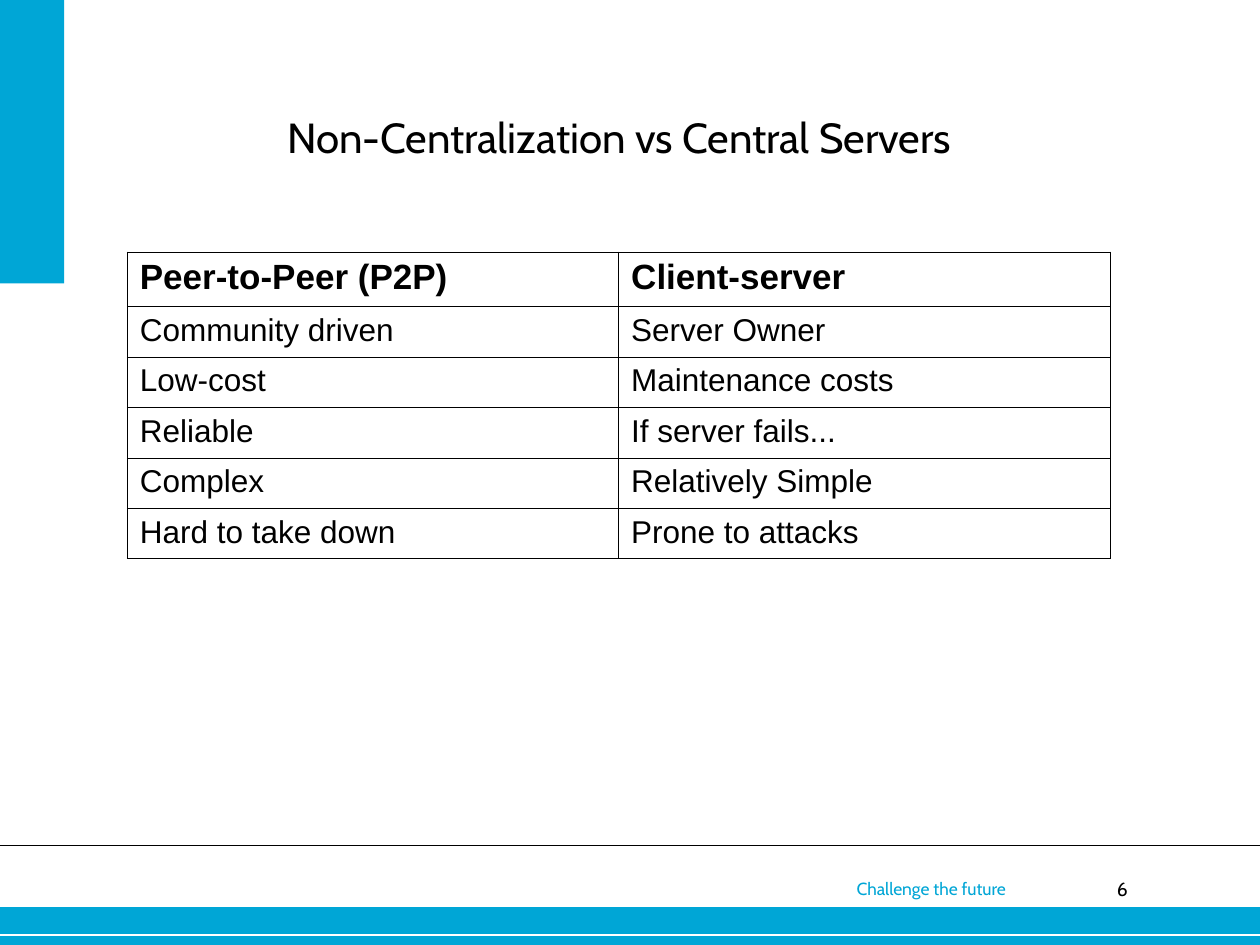
"""Build the slide comparing peer-to-peer with client-server systems."""
from lxml.etree import SubElement
from pptx import Presentation
from pptx.dml.color import RGBColor
from pptx.enum.shapes import MSO_CONNECTOR, MSO_SHAPE
from pptx.enum.text import MSO_ANCHOR, PP_ALIGN
from pptx.oxml import parse_xml
from pptx.oxml.ns import nsdecls, qn
from pptx.util import Inches, Pt

CYAN = RGBColor(0x00, 0xA6, 0xD6)
BLACK = RGBColor(0x00, 0x00, 0x00)
WHITE = RGBColor(0xFF, 0xFF, 0xFF)

TITLE = "Non-Centralization vs Central Servers"
COMPARISON = [
    ("Peer-to-Peer (P2P)", "Client-server"),
    ("Community driven", "Server Owner"),
    ("Low-cost", "Maintenance costs"),
    ("Reliable", "If server fails..."),
    ("Complex", "Relatively Simple"),
    ("Hard to take down", "Prone to attacks"),
]
BANDS = [(0, 7.2, 10, 0.3), (0, 0, 0.51, 2.25)]
RULES = [(7.42, WHITE, 0.75), (6.71, BLACK, 1)]
FOOTERS = [
    ("6", (8.46, 6.96, 0.49, 0.28), (0, 0), 11, BLACK, PP_ALIGN.RIGHT),
    ("Challenge the future", (6.7, 6.92, 2.18, 0.27), (0.1, 0.05), 10, CYAN, PP_ALIGN.LEFT),
]
COLUMN_WIDTH, ROW_HEIGHT = 3.9, 0.37
BORDER_WIDTH = Pt(0.57)


def set_margins(owner, across, down):
    margins = {"left": across, "right": across, "top": down, "bottom": down}
    for side, length in margins.items():
        setattr(owner, f"margin_{side}", Inches(length))


def write(frame, wording, size, font="Cabin", color=BLACK, align=PP_ALIGN.LEFT, bold=False):
    paragraph = frame.paragraphs[0]
    paragraph.alignment = align
    run = paragraph.add_run()
    run.text = wording
    run.font.color.rgb = color
    for name, value in {"name": font, "size": Pt(size), "bold": bold}.items():
        setattr(run.font, name, value)


def add_band(slide, box):
    band = slide.shapes.add_shape(MSO_SHAPE.RECTANGLE, *map(Inches, box))
    band.shadow.inherit = False
    band.fill.solid()
    band.fill.fore_color.rgb = CYAN
    band.line.fill.background()


def add_rule(slide, height, color, width):
    ends = map(Inches, (0, height, 10, height))
    rule = slide.shapes.add_connector(MSO_CONNECTOR.STRAIGHT, *ends)
    rule.line.color.rgb = color
    rule.line.width = Pt(width)
    SubElement(rule._element.spPr, qn("a:effectLst"))


def add_footer(slide, wording, box, margins, size, color, align):
    frame = slide.shapes.add_textbox(*map(Inches, box)).text_frame
    frame.word_wrap = True
    set_margins(frame, *margins)
    write(frame, wording, size, color=color, align=align)


def add_title(slide):
    title = slide.shapes.title
    box = {"left": 1, "top": 0.5, "width": 7.83, "height": 1.17}
    for name, length in box.items():
        setattr(title, name, Inches(length))
    frame = title.text_frame
    frame.vertical_anchor = MSO_ANCHOR.MIDDLE
    set_margins(frame, 0, 0)
    write(frame, TITLE, 24, align=PP_ALIGN.CENTER)


def add_borders(cell):
    properties = cell._tc.get_or_add_tcPr()
    for position, side in enumerate(("lnL", "lnR", "lnT", "lnB")):
        properties.insert(position, parse_xml(
            f'<a:{side} {nsdecls("a")} w="{BORDER_WIDTH}">'
            f'<a:solidFill><a:srgbClr val="{BLACK}"/></a:solidFill></a:{side}>'))


def add_comparison(slide):
    rows, columns = len(COMPARISON), len(COMPARISON[0])
    box = (1.01, 2, columns * COLUMN_WIDTH, rows * ROW_HEIGHT)
    table = slide.shapes.add_table(rows, columns, *map(Inches, box)).table
    table.first_row = table.horz_banding = False
    for row, wordings in enumerate(COMPARISON):
        heading = row == 0
        for column, wording in enumerate(wordings):
            cell = table.cell(row, column)
            cell.fill.background()
            set_margins(cell, 0.1, 0.05)
            write(cell.text_frame, wording, 20 if heading else 18, "Arial", bold=heading)
            add_borders(cell)


def main():
    deck = Presentation()
    deck.slide_width, deck.slide_height = Inches(10), Inches(7.5)
    slide = deck.slides.add_slide(deck.slide_layouts[5])
    for box in BANDS:
        add_band(slide, box)
    for rule in RULES:
        add_rule(slide, *rule)
    for footer in FOOTERS:
        add_footer(slide, *footer)
    add_title(slide)
    add_comparison(slide)
    deck.save("out.pptx")


if __name__ == "__main__":
    main()
